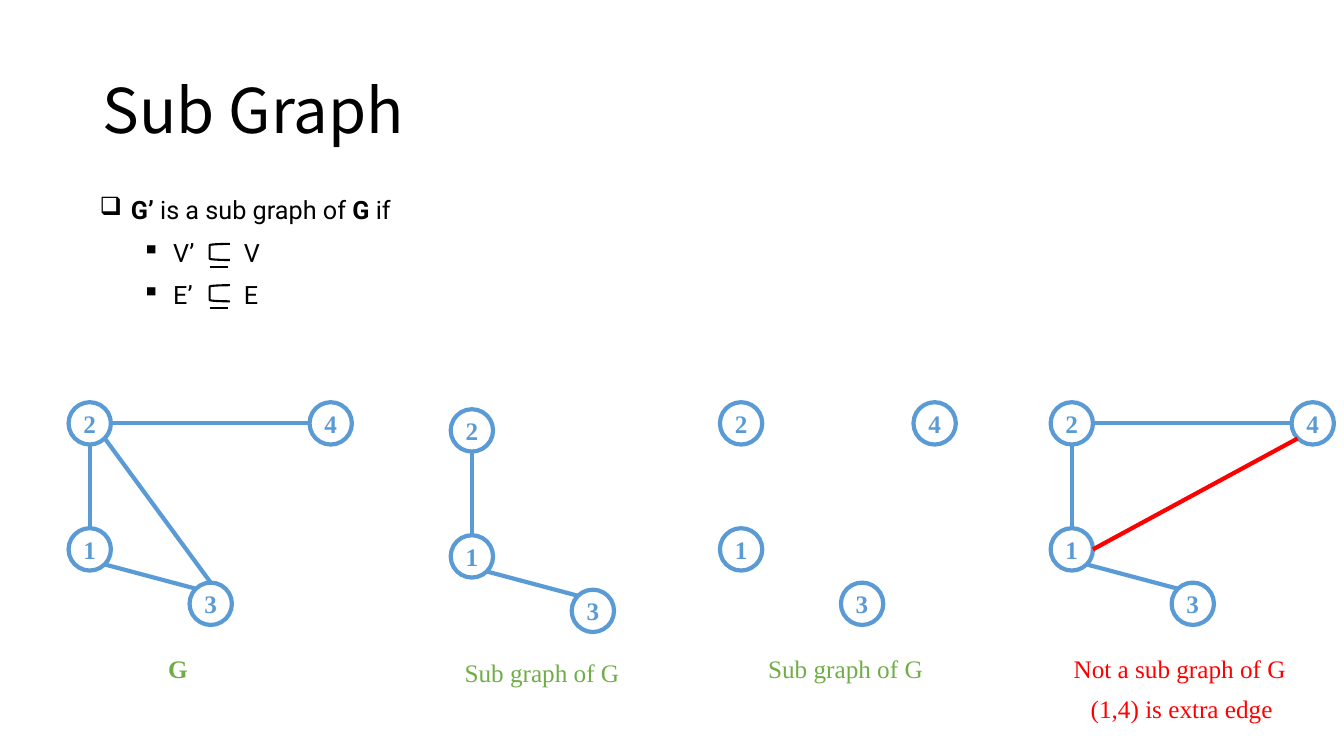
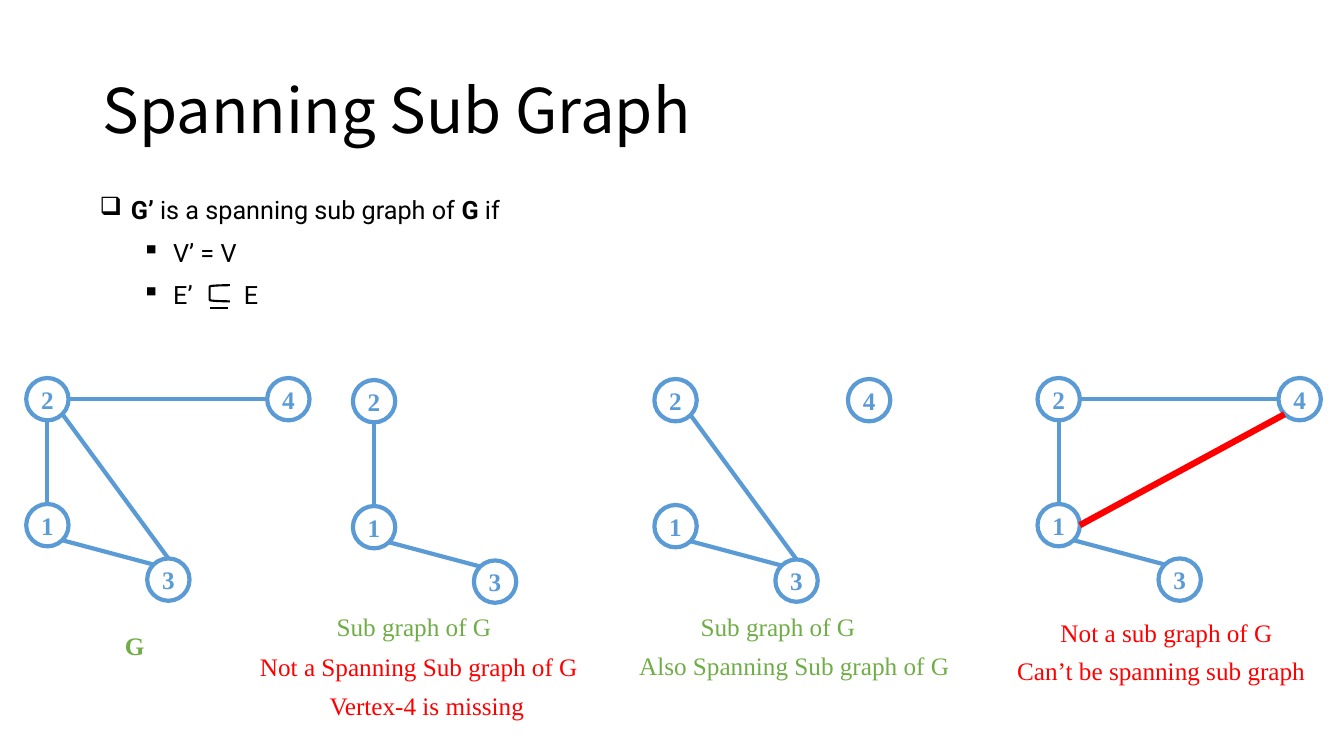
from dataclasses import dataclass

from lxml import etree
from pptx import Presentation
from pptx.dml.color import RGBColor
from pptx.enum.shapes import MSO_CONNECTOR as CONNECTOR, MSO_SHAPE as SHAPE
from pptx.enum.text import MSO_ANCHOR as ANCHOR, MSO_AUTO_SIZE as AUTO_SIZE, PP_ALIGN as ALIGN
from pptx.oxml.ns import qn
from pptx.util import Inches, Pt

BLACK = RGBColor(0x00, 0x00, 0x00)
BLUE = RGBColor(0x5B, 0x9B, 0xD5)
GREEN = RGBColor(0x70, 0xAD, 0x47)
RED = RGBColor(0xFF, 0x00, 0x00)

TITLE_FORMAT = {"name": "Noto Sans CJK SC", "size": Pt(44)}
BODY_FORMAT = {"name": "Roboto", "size": Pt(18)}
GRAPH_FORMAT = {"name": "Times New Roman", "size": Pt(18)}

LINE_HEIGHT = 0.4
INDENT = 0.31
FIRST_ROW, ROW_STEP = 2.31, 0.41

# Vertices: places relative to vertex 2, and points on a vertex's outline
DIAMETER = 0.42
VERTEX_PLACES = {1: (0, 1.25), 2: (0, 0), 3: (1.2, 1.79), 4: (2.39, 0)}
RIM = {"top": (0.21, 0), "top left": (0.06, 0.06), "left": (0, 0.21),
       "bottom left": (0.06, 0.36), "bottom": (0.21, 0.42),
       "bottom right": (0.36, 0.36), "right": (0.42, 0.21)}
EDGE_ENDS = {(2, 4): ("right", "left"), (2, 1): ("bottom", "top"),
             (1, 3): ("bottom right", "top left"),
             (2, 3): ("bottom right", "top"), (1, 4): ("right", "bottom left")}

G_EDGES = [(2, 4), (2, 1), (1, 3), (2, 3)]
PATH_EDGES = [(2, 1), (1, 3)]
WITHOUT_2_3 = [(2, 4), (2, 1), (1, 3)]


@dataclass
class Graph:
    left: float
    top: float
    edges: list
    vertices: tuple = (1, 2, 3, 4)
    vertex_4_offset: float = 2.39
    extra_edge_width: float = 0


# Text
def add_run(paragraph, text, formats, color, bold=False):
    run = paragraph.add_run()
    run.text = text
    for attribute, value in formats.items():
        setattr(run.font, attribute, value)
    run.font.bold = bold
    run.font.color.rgb = color


def add_line_of_text(slide, left, top, width, runs, formats, color=BLACK, bullet=None):
    """One unwrapped line; runs are (text, bold) pairs."""
    box = slide.shapes.add_textbox(Inches(left), Inches(top), Inches(width), Inches(LINE_HEIGHT))
    frame = box.text_frame
    frame.word_wrap = False
    frame.auto_size = AUTO_SIZE.SHAPE_TO_FIT_TEXT
    paragraph = frame.paragraphs[0]
    if bullet:
        properties = paragraph._p.get_or_add_pPr()
        properties.set("marL", str(Inches(INDENT)))
        properties.set("indent", str(-Inches(INDENT)))
        etree.SubElement(properties, qn("a:buChar")).set("char", bullet)
    for text, bold in runs:
        add_run(paragraph, text, formats, color, bold)


def add_title(slide, text):
    box = slide.shapes.add_textbox(Inches(0.92), Inches(0.4), Inches(11.5), Inches(1.45))
    frame = box.text_frame
    frame.word_wrap = True
    frame.vertical_anchor = ANCHOR.MIDDLE
    paragraph = frame.paragraphs[0]
    paragraph.line_spacing = 0.9
    add_run(paragraph, text, TITLE_FORMAT, BLACK)


def add_caption(slide, left, top, width, text, color, bold=False):
    add_line_of_text(slide, left, top, width, [(text, bold)], GRAPH_FORMAT, color)


# Lines and definition
def add_line(slide, start, end, color, width):
    line = slide.shapes.add_connector(CONNECTOR.STRAIGHT, *map(Inches, (*start, *end)))
    line.line.color.rgb = color
    line.line.width = Pt(width)
    etree.SubElement(line._element.spPr, qn("a:effectLst"))


def add_condition(slide, row, text, superset=None):
    """A bulleted condition, with a subset sign when a superset is given."""
    top = FIRST_ROW + row * ROW_STEP
    add_line_of_text(slide, 1.31, top, 0.82 if superset else 1.3, [(text, False)],
                     BODY_FORMAT, bullet="▪")
    if superset:
        bracket = slide.shapes.add_shape(SHAPE.LEFT_BRACKET, Inches(2.08), Inches(top + 0.11),
                                         Inches(0.2), Inches(0.16))
        bracket.shadow.inherit = False
        bracket.fill.background()
        bracket.line.color.rgb = BLACK
        bracket.line.width = Pt(1.5)
        add_line(slide, (2.08, top + 0.34), (2.26, top + 0.34), BLACK, 1.5)
        add_line_of_text(slide, 2.32, top, 0.44, [(superset, False)], BODY_FORMAT)


def add_definition(slide, kind, width, conditions):
    runs = [("G’ ", True), (f"is a {kind} of ", False), ("G", True), (" if", False)]
    add_line_of_text(slide, 0.89, 1.88, width, runs, BODY_FORMAT, bullet="❑")
    for row, condition in enumerate(conditions):
        add_condition(slide, row, *condition)


# Graphs
def add_vertex(slide, number, left, top):
    vertex = slide.shapes.add_shape(SHAPE.OVAL, Inches(left), Inches(top),
                                    Inches(DIAMETER), Inches(DIAMETER))
    vertex.shadow.inherit = False
    vertex.fill.background()
    vertex.line.color.rgb = BLUE
    vertex.line.width = Pt(3)
    frame = vertex.text_frame
    frame.word_wrap = False
    frame.vertical_anchor = ANCHOR.MIDDLE
    for side in ("left", "right", "top", "bottom"):
        setattr(frame, f"margin_{side}", 0)
    frame.paragraphs[0].alignment = ALIGN.CENTER
    add_run(frame.paragraphs[0], str(number), GRAPH_FORMAT, BLUE, bold=True)


def add_graph(slide, graph):
    offsets = {**VERTEX_PLACES, 4: (graph.vertex_4_offset, 0)}
    places = {number: (graph.left + x, graph.top + y) for number, (x, y) in offsets.items()}

    def add_edge(edge, color, width):
        start, end = [(places[number][0] + RIM[point][0], places[number][1] + RIM[point][1])
                      for number, point in zip(edge, EDGE_ENDS[edge])]
        add_line(slide, start, end, color, width)

    for edge in graph.edges:
        add_edge(edge, BLUE, 3)
    for number in graph.vertices:
        add_vertex(slide, number, *places[number])
    if graph.extra_edge_width:
        add_edge((1, 4), RED, graph.extra_edge_width)


def add_graph_slide(deck, title, kind, definition_width, conditions, graphs, captions):
    slide = deck.slides.add_slide(deck.slide_layouts[6])
    add_title(slide, title)
    add_definition(slide, kind, definition_width, conditions)
    for graph in graphs:
        add_graph(slide, graph)
    for caption in captions:
        add_caption(slide, *caption)


def main():
    deck = Presentation()
    deck.slide_width, deck.slide_height = Inches(13.33), Inches(7.5)

    add_graph_slide(
        deck, "Sub Graph", "sub graph", 3.19,
        conditions=[("V’", "V"), ("E’", "E")],
        graphs=[Graph(0.68, 3.99, G_EDGES),
                Graph(4.47, 4.06, PATH_EDGES, vertices=(1, 2, 3)),
                Graph(7.14, 3.99, [], vertex_4_offset=1.92),
                Graph(10.42, 3.99, WITHOUT_2_3, extra_edge_width=3)],
        captions=[(1.57, 6.43, 0.4, "G", GREEN, True),
                  (4.51, 6.47, 1.75, "Sub graph of G", GREEN),
                  (7.52, 6.43, 1.75, "Sub graph of G", GREEN),
                  (10.55, 6.43, 2.33, "Not a sub graph of G", RED),
                  (10.72, 6.83, 2.1, "(1,4) is extra edge", RED)])

    add_graph_slide(
        deck, "Spanning Sub Graph", "spanning sub graph", 4.17,
        conditions=[("V’ = V",), ("E’", "E")],
        graphs=[Graph(0.26, 3.75, G_EDGES),
                Graph(3.5, 3.77, PATH_EDGES, vertices=(1, 2, 3)),
                Graph(6.49, 3.76, [(2, 3), (1, 3)], vertex_4_offset=1.92),
                Graph(10.29, 3.75, WITHOUT_2_3, extra_edge_width=4.5)],
        captions=[(1.14, 6.2, 0.4, "G", GREEN, True),
                  (3.24, 6.02, 1.75, "Sub graph of G", GREEN),
                  (2.48, 6.41, 3.39, "Not a Spanning Sub graph of G", RED),
                  (3.17, 6.8, 2.23, "Vertex-4 is missing", RED),
                  (6.85, 6.02, 1.75, "Sub graph of G", GREEN),
                  (6.24, 6.4, 3.31, "Also Spanning Sub graph of G", GREEN),
                  (10.42, 6.08, 2.33, "Not a sub graph of G", RED),
                  (9.99, 6.45, 3.09, "Can’t be spanning sub graph", RED)])

    deck.save("out.pptx")


if __name__ == "__main__":
    main()
